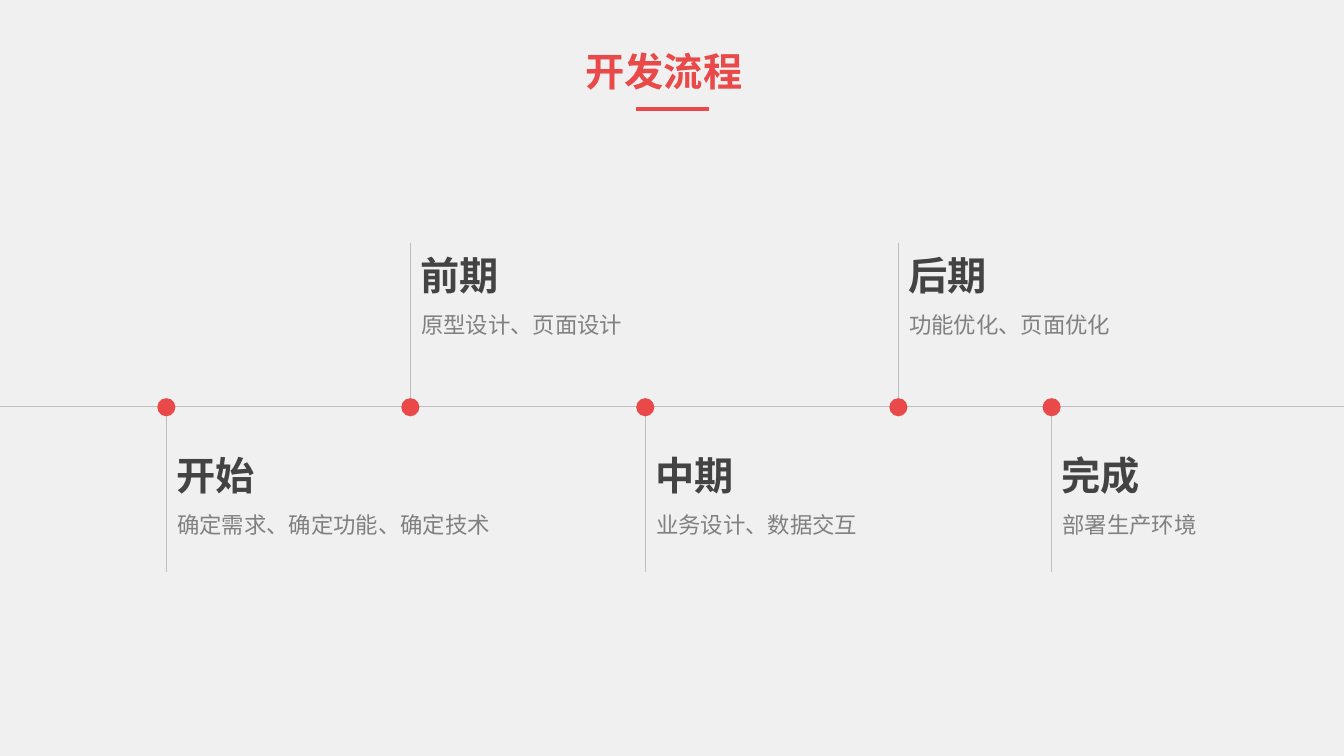
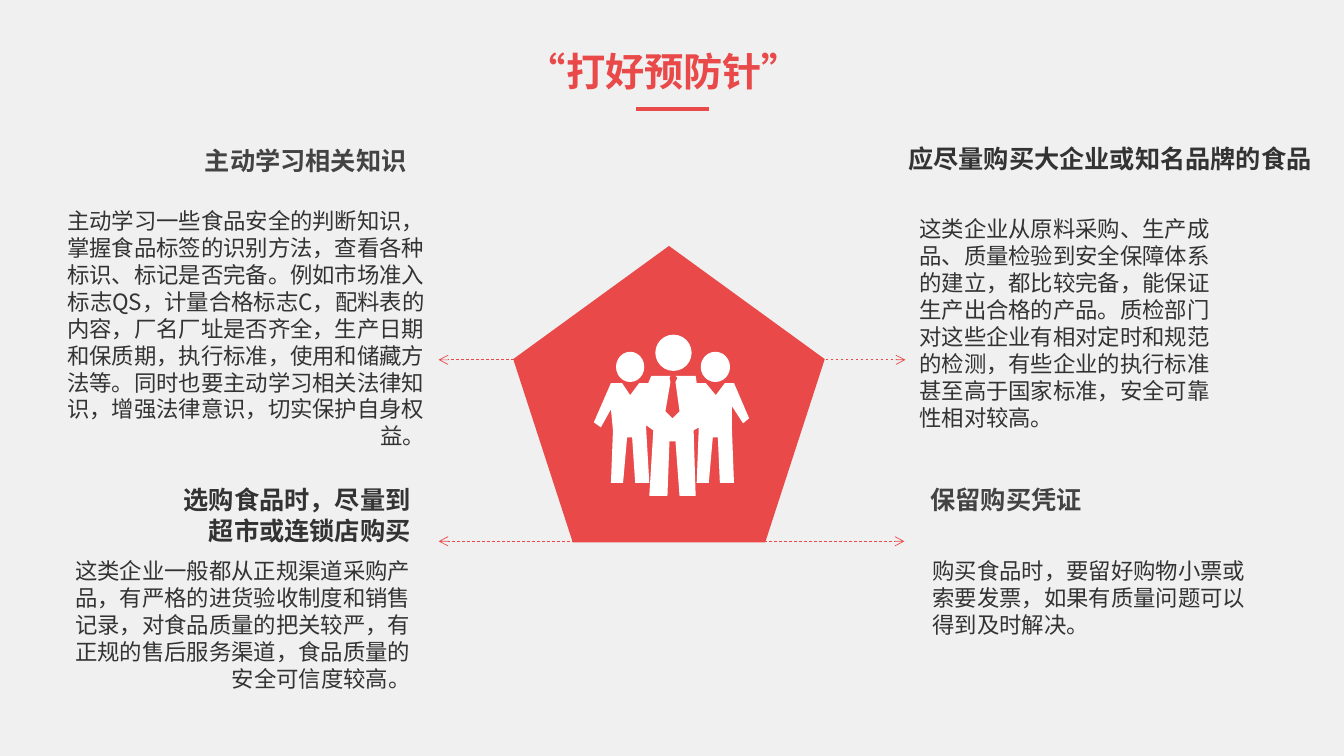
from dataclasses import dataclass
from typing import NamedTuple

from lxml.etree import SubElement
from pptx import Presentation
from pptx.dml.color import RGBColor
from pptx.enum.dml import MSO_LINE
from pptx.enum.lang import MSO_LANGUAGE_ID as Lang
from pptx.enum.shapes import MSO_CONNECTOR, MSO_SHAPE as Preset
from pptx.enum.text import MSO_AUTO_SIZE, PP_ALIGN as Align
from pptx.oxml.ns import qn
from pptx.util import Emu, Pt

EMU_PER_PX = 9144  # 100 px to the inch
SLIDE_W, SLIDE_H = 1333, 750

RED, WHITE, PAPER = "E94949", "FFFFFF", "F0F0F0"
HEADING, BODY, DETAIL, RULE = "444343", "333333", "808080", "BFBFBF"
NARROW, SANS = "Arial Narrow", "Noto Sans CJK SC"


class Box(NamedTuple):
    left: int
    top: int
    width: int
    height: int


class Point(NamedTuple):
    x: int
    y: int


@dataclass(frozen=True)
class TextStyle:
    size: int
    color: str
    font: str = NARROW
    bold: bool = False
    align: Align = Align.LEFT
    spacing: float = 1.0


@dataclass(frozen=True)
class Step:
    heading: str
    detail: str
    x: int
    above: bool
    detail_width: int = 315


@dataclass(frozen=True)
class Advice:
    heading: str
    heading_box: Box
    heading_style: TextStyle
    body: str
    body_box: Box
    align: Align


TITLE_STYLE = TextStyle(28, RED, bold=True, align=Align.CENTER)
STEP_STYLE = TextStyle(28, HEADING, bold=True)
DETAIL_STYLE = TextStyle(16, DETAIL, spacing=1.2)

AXIS_Y = 403
DOT = 18
DOT_TOP = 395
STEM = 154

STEPS = [
    Step("开始", "确定需求、确定功能、确定技术", 165, False, 340),
    Step("前期", "原型设计、页面设计", 407, True),
    Step("中期", "业务设计、数据交互", 640, False),
    Step("后期", "功能优化、页面优化", 891, True),
    Step("完成", "部署生产环境", 1043, False),
]

SOFT_HEADING = TextStyle(18, HEADING, bold=True)
DARK_HEADING = TextStyle(18, BODY, SANS, True)
RIGHT_SOFT_HEADING = TextStyle(18, HEADING, bold=True, align=Align.RIGHT)
RIGHT_DARK_HEADING = TextStyle(18, BODY, SANS, True, Align.RIGHT)

ADVICE = [
    Advice(
        "主动学习相关知识", Box(127, 139, 286, 40), RIGHT_SOFT_HEADING,
        "主动学习一些食品安全的判断知识，掌握食品标签的识别方法，查看各种标识、"
        "标记是否完备。例如市场准入标志QS，计量合格标志C，配料表的内容，"
        "厂名厂址是否齐全，生产日期和保质期，执行标准，使用和储藏方法等。"
        "同时也要主动学习相关法律知识，增强法律意识，切实保护自身权益。",
        Box(39, 201, 392, 226), Align.RIGHT),
    Advice(
        "应尽量购买大企业或知名品牌的食品", Box(891, 137, 429, 40), DARK_HEADING,
        "这类企业从原料采购、生产成品、质量检验到安全保障体系的建立，都比较完备，"
        "能保证生产出合格的产品。质检部门对这些企业有相对定时和规范的检测，"
        "有些企业的执行标准甚至高于国家标准，安全可靠性相对较高。",
        Box(902, 209, 329, 226), Align.LEFT),
    Advice(
        "选购食品时，尽量到超市或连锁店购买", Box(153, 476, 264, 71),
        RIGHT_DARK_HEADING,
        "这类企业一般都从正规渠道采购产品，有严格的进货验收制度和销售记录，"
        "对食品质量的把关较严，有正规的售后服务渠道，食品质量的安全可信度较高。",
        Box(55, 548, 362, 145), Align.RIGHT),
    Advice(
        "保留购买凭证", Box(913, 476, 250, 40), SOFT_HEADING,
        "购买食品时，要留好购物小票或索要发票，如果有质量问题可以得到及时解决。",
        Box(915, 548, 342, 91), Align.LEFT),
]

PENTAGON = Box(509, 244, 309, 294)
HEADS = [Box(650, 332, 36, 36), Box(695, 349, 29, 30), Box(611, 349, 28, 30)]
BODIES = [
    (641, 422), (641, 427), (644, 479), (630, 479), (627, 434), (622, 434),
    (618, 479), (606, 479), (608, 427), (606, 406), (596, 424), (589, 419),
    (606, 380), (617, 380), (625, 392), (634, 380), (643, 380), (646, 373),
    (665, 373), (664, 375), (665, 379), (660, 408), (667, 415), (674, 408),
    (670, 379), (672, 375), (670, 373), (690, 373), (691, 380), (700, 380),
    (710, 392), (719, 380), (728, 380), (743, 415), (737, 420), (726, 403),
    (726, 427), (728, 479), (714, 479), (712, 434), (707, 434), (703, 479),
    (691, 479), (693, 427), (693, 424), (688, 427), (690, 492), (674, 492),
    (670, 438), (664, 438), (662, 492), (644, 492), (648, 427),
]
ARROWS = [
    (Point(799, 357), Point(898, 357)),
    (Point(743, 537), Point(897, 537)),
    (Point(635, 537), Point(435, 537)),
    (Point(589, 357), Point(435, 357)),
]


def px(length: int) -> Emu:
    return Emu(length * EMU_PER_PX)


def rgb(value: str) -> RGBColor:
    return RGBColor.from_string(value)


def paint(shape, color: str) -> None:
    """Give a shape a flat fill with neither outline nor shadow."""
    shape.fill.solid()
    shape.fill.fore_color.rgb = rgb(color)
    shape.line.fill.background()
    shape.shadow.inherit = False


def add_preset(slide, preset: Preset, box: Box, color: str) -> None:
    paint(slide.shapes.add_shape(preset, *map(px, box)), color)


def add_line(slide, start: Point, end: Point, color: str, weight: float,
             dashed_arrow: bool = False) -> None:
    connector = slide.shapes.add_connector(
        MSO_CONNECTOR.STRAIGHT, *map(px, (*start, *end)))
    line = connector.line
    line.color.rgb = rgb(color)
    line.width = Pt(weight)
    properties = connector._element.spPr
    if dashed_arrow:
        line.dash_style = MSO_LINE.DASH
        SubElement(properties.find(qn("a:ln")), qn("a:tailEnd"), type="arrow")
    SubElement(properties, qn("a:effectLst"))


def add_text(slide, text: str, box: Box, style: TextStyle) -> None:
    frame = slide.shapes.add_textbox(*map(px, box)).text_frame
    frame.word_wrap = True
    frame.auto_size = MSO_AUTO_SIZE.SHAPE_TO_FIT_TEXT
    paragraph = frame.paragraphs[0]
    paragraph.alignment = style.align
    paragraph.line_spacing = style.spacing
    run = paragraph.add_run()
    run.text = text
    font = run.font
    font.name, font.size, font.bold = style.font, Pt(style.size), style.bold
    font.color.rgb = rgb(style.color)
    font.language_id = Lang.SIMPLIFIED_CHINESE
    SubElement(run._r.get_or_add_rPr(), qn("a:ea"), typeface=SANS)


def add_titled_slide(prs, title: str):
    slide = prs.slides.add_slide(prs.slide_layouts[6])
    add_text(slide, title, Box(434, 42, 449, 57), TITLE_STYLE)
    add_line(slide, Point(631, 108), Point(703, 108), RED, 3)
    return slide


def add_step(slide, step: Step) -> None:
    """Draw a dot on the axis with its stem and texts above or below."""
    stem_top = DOT_TOP - STEM if step.above else DOT_TOP + DOT
    heading_top = stem_top + (3 if step.above else 30)
    add_line(slide, Point(step.x, stem_top), Point(step.x, stem_top + STEM),
             RULE, 0.5)
    add_preset(slide, Preset.OVAL,
               Box(step.x - DOT // 2, DOT_TOP, DOT, DOT), RED)
    add_text(slide, step.heading, Box(step.x, heading_top, 109, 57), STEP_STYLE)
    add_text(slide, step.detail,
             Box(step.x + 1, heading_top + 54, step.detail_width, 40),
             DETAIL_STYLE)


def add_team(slide) -> None:
    """Draw three figures in white."""
    for head in HEADS:
        add_preset(slide, Preset.OVAL, head, WHITE)
    outline = slide.shapes.build_freeform(*BODIES[0], scale=EMU_PER_PX)
    outline.add_line_segments(BODIES[1:], close=True)
    paint(outline.convert_to_shape(), WHITE)


def build_process(prs) -> None:
    slide = add_titled_slide(prs, "开发流程")
    add_line(slide, Point(0, AXIS_Y), Point(SLIDE_W, AXIS_Y), RULE, 0.5)
    for step in STEPS:
        add_step(slide, step)


def build_prevention(prs) -> None:
    slide = add_titled_slide(prs, "“打好预防针”")
    add_preset(slide, Preset.REGULAR_PENTAGON, PENTAGON, RED)
    add_team(slide)
    for start, end in ARROWS:
        add_line(slide, start, end, RED, 0.5, dashed_arrow=True)
    for advice in ADVICE:
        add_text(slide, advice.heading, advice.heading_box, advice.heading_style)
        add_text(slide, advice.body, advice.body_box,
                 TextStyle(16, BODY, SANS, align=advice.align))


def main() -> None:
    prs = Presentation()
    prs.slide_width, prs.slide_height = px(SLIDE_W), px(SLIDE_H)
    backdrop = prs.slide_master.background.fill
    backdrop.solid()
    backdrop.fore_color.rgb = rgb(PAPER)
    build_process(prs)
    build_prevention(prs)
    prs.save("out.pptx")


if __name__ == "__main__":
    main()
